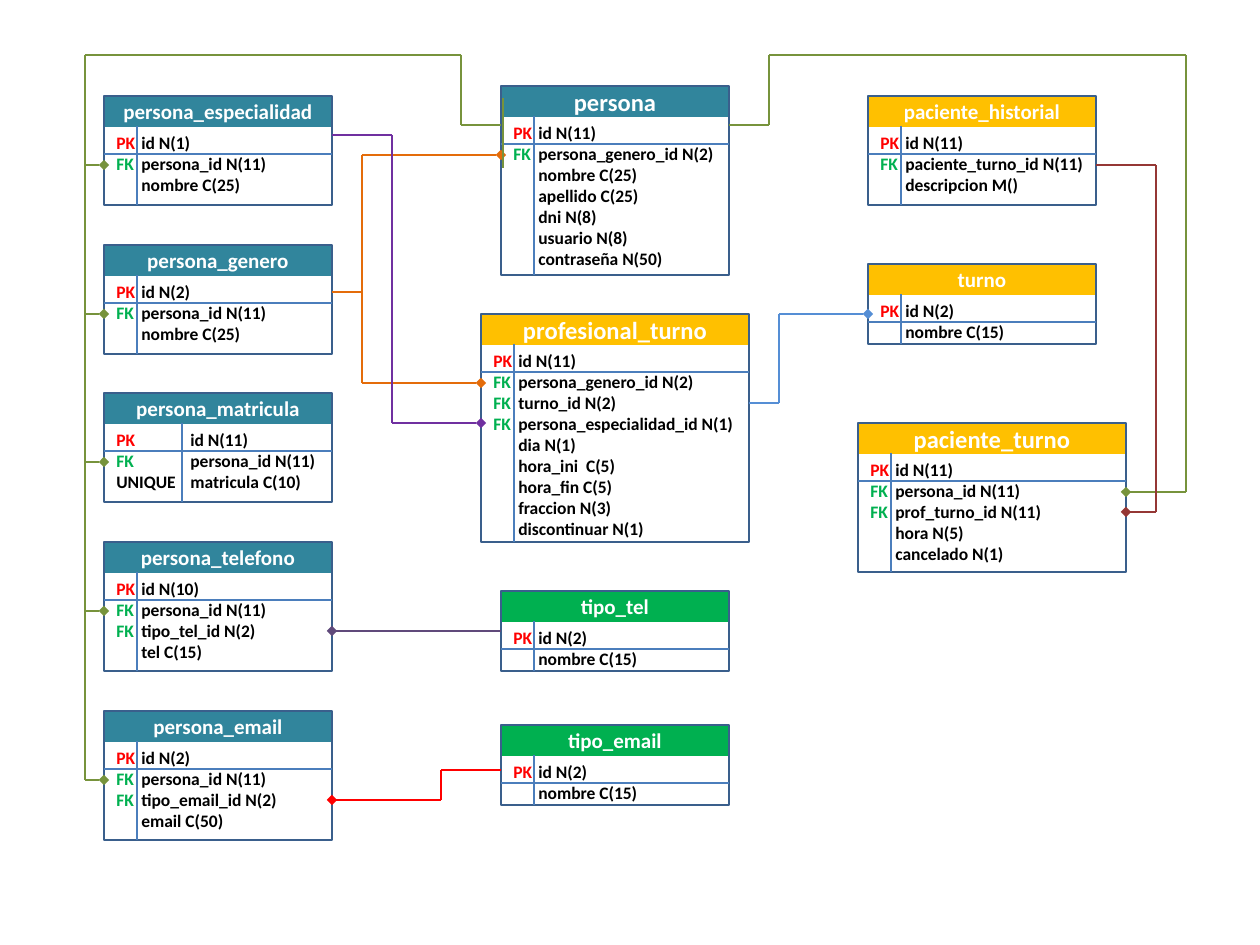
import pptx
import pptx.util
import pptx.dml.color
import pptx.enum.shapes
import pptx.enum.text
import pptx.oxml.ns
from lxml import etree

RGB = pptx.dml.color.RGBColor
TEAL = RGB(0x31, 0x85, 0x9C)
AMBER = RGB(0xFF, 0xC0, 0x00)
GREEN = RGB(0x00, 0xB0, 0x50)
FRAME = RGB(0x3A, 0x5F, 0x8C)
RULE = RGB(0x4B, 0x7E, 0xBC)
WHITE = RGB(0xFF, 0xFF, 0xFF)
BLACK = RGB(0x00, 0x00, 0x00)
RED = RGB(0xFF, 0x00, 0x00)
OLIVE = RGB(0x77, 0x93, 0x3C)
ORANGE = RGB(0xE4, 0x6C, 0x0A)
PURPLE = RGB(0x70, 0x30, 0xA0)
BLUE = RGB(0x55, 0x8E, 0xD5)
MAROON = RGB(0x95, 0x37, 0x35)
VIOLET = RGB(0x60, 0x4A, 0x7B)
KEY_COLORS = {"PK": RED, "FK": GREEN}

FONT = "Calibri"
PX_PER_INCH = 126
TITLE_H, BODY_TOP, RULE_TOP = 31, 30, 58
LINE_H, TEXT_PAD = 21, 13
KEY_W, KEY_TAB = 33, 25  # key column width and tab stop
WIDE_KEY_W, WIDE_KEY_TAB = 78, 74

# name, left, top, width, height, title colour, title size, fields
TABLES = [
    ("persona", 501, 86, 228, 189, TEAL, 14,
     [("PK", "id N(11)"), ("FK", "persona_genero_id N(2)"), ("", "nombre C(25)"),
      ("", "apellido C(25)"), ("", "dni N(8)"), ("", "usuario N(8)"),
      ("", "contraseña N(50)")]),
    ("profesional_turno", 481, 314, 268, 228, AMBER, 14,
     [("PK", "id N(11)"), ("FK", "persona_genero_id N(2)"), ("FK", "turno_id N(2)"),
      ("FK", "persona_especialidad_id N(1)"), ("", "dia N(1)"),
      ("", "hora_ini  C(5)"), ("", "hora_fin C(5)"), ("", "fraccion N(3)"),
      ("", "discontinuar N(1)")]),
    ("persona_especialidad", 104, 96, 228, 109, TEAL, 12,
     [("PK", "id N(1)"), ("FK", "persona_id N(11)"), ("", "nombre C(25)")]),
    ("persona_matricula", 104, 393, 228, 109, TEAL, 12,
     [("PK", "id N(11)"), ("FK", "persona_id N(11)"), ("UNIQUE", "matricula C(10)")]),
    ("persona_genero", 104, 245, 228, 109, TEAL, 12,
     [("PK", "id N(2)"), ("FK", "persona_id N(11)"), ("", "nombre C(25)")]),
    ("persona_telefono", 104, 542, 228, 129, TEAL, 12,
     [("PK", "id N(10)"), ("FK", "persona_id N(11)"), ("FK", "tipo_tel_id N(2)"),
      ("", "tel C(15)")]),
    ("persona_email", 104, 711, 228, 129, TEAL, 12,
     [("PK", "id N(2)"), ("FK", "persona_id N(11)"), ("FK", "tipo_email_id N(2)"),
      ("", "email C(50)")]),
    ("tipo_tel", 501, 591, 228, 80, GREEN, 12,
     [("PK", "id N(2)"), ("", "nombre C(15)")]),
    ("tipo_email", 501, 725, 228, 80, GREEN, 12,
     [("PK", "id N(2)"), ("", "nombre C(15)")]),
    ("turno", 868, 264, 228, 80, AMBER, 12,
     [("PK", "id N(2)"), ("", "nombre C(15)")]),
    ("paciente_historial", 868, 96, 228, 109, AMBER, 12,
     [("PK", "id N(11)"), ("FK", "paciente_turno_id N(11)"), ("", "descripcion M()")]),
    ("paciente_turno", 858, 423, 268, 149, AMBER, 14,
     [("PK", "id N(11)"), ("FK", "persona_id N(11)"), ("FK", "prof_turno_id N(11)"),
      ("", "hora N(5)"), ("", "cancelado N(1)")]),
]

# Routes of the relations; each starts at its diamond
TRUNK_X = 85
RELATIONS = [
    (OLIVE, [(104, 165), (TRUNK_X, 165), (TRUNK_X, 55), (461, 55), (461, 125), (501, 125)]),
    *[(OLIVE, [(104, y), (TRUNK_X, y)]) for y in (314, 462, 611)],
    (OLIVE, [(104, 780), (TRUNK_X, 780), (TRUNK_X, 165)]),
    (ORANGE, [(501, 155), (362, 155), (362, 292), (332, 292)]),
    (ORANGE, [(481, 383), (362, 383), (362, 292)]),
    (PURPLE, [(481, 423), (392, 423), (392, 135), (332, 135)]),
    (BLUE, [(868, 314), (779, 314), (779, 403), (749, 403)]),
    (OLIVE, [(1126, 492), (1186, 492), (1186, 55), (769, 55), (769, 125), (729, 125)]),
    (MAROON, [(1126, 512), (1156, 512), (1156, 165), (1096, 165)]),
    (RED, [(332, 800), (441, 800), (441, 770), (501, 770)]),
]
PERSONA_BAR = [(503, 98), (503, 168)]
PHONE_LINK = [(332, 631), (501, 631)]


def px(length):
    return pptx.util.Emu(round(length * 914400 / PX_PER_INCH))


def add_line(slide, start, end, color, width, diamond=False):
    line = slide.shapes.add_connector(
        pptx.enum.shapes.MSO_CONNECTOR.STRAIGHT, *map(px, (*start, *end)))
    line.line.color.rgb = color
    line.line.width = pptx.util.Pt(width)
    properties = line.element.spPr
    etree.SubElement(properties, pptx.oxml.ns.qn("a:effectLst"))
    if diamond:
        outline = properties.find(pptx.oxml.ns.qn("a:ln"))
        etree.SubElement(outline, pptx.oxml.ns.qn("a:headEnd"), type="diamond")
    return line


def add_route(slide, points, color):
    for index, (start, end) in enumerate(zip(points, points[1:])):
        add_line(slide, start, end, color, 1.5, diamond=index == 0)


def add_rectangle(slide, left, top, width, height):
    box = slide.shapes.add_shape(
        pptx.enum.shapes.MSO_SHAPE.RECTANGLE, *map(px, (left, top, width, height)))
    box.shadow.inherit = False
    return box


def style_span(span, size, color):
    span.font.name = FONT
    span.font.size = pptx.util.Pt(size)
    span.font.bold = True
    span.font.color.rgb = color


def add_fields(slide, left, top, width, fields, tab):
    box = slide.shapes.add_textbox(
        *map(px, (left, top, width, LINE_H * len(fields) + TEXT_PAD)))
    frame = box.text_frame
    frame.word_wrap = True
    frame.margin_right = 0
    for index, (key, field) in enumerate(fields):
        para = frame.paragraphs[0] if index == 0 else frame.add_paragraph()
        tabs = etree.SubElement(para._p.get_or_add_pPr(), pptx.oxml.ns.qn("a:tabLst"))
        etree.SubElement(tabs, pptx.oxml.ns.qn("a:tab"), pos=str(px(tab)), algn="l")
        if key:
            span = para.add_run()
            span.text = key
            style_span(span, 10, KEY_COLORS.get(key, BLACK))
        span = para.add_run()
        span.text = "\t" + field
        style_span(span, 10, BLACK)


def add_entity(slide, name, left, top, width, height, color, size, fields):
    # Title bar
    title = add_rectangle(slide, left, top, width, TITLE_H)
    title.fill.solid()
    title.fill.fore_color.rgb = color
    title.line.fill.background()
    title.text_frame.text = name
    title.text_frame.vertical_anchor = pptx.enum.text.MSO_ANCHOR.MIDDLE
    para = title.text_frame.paragraphs[0]
    para.alignment = pptx.enum.text.PP_ALIGN.CENTER
    style_span(para.runs[0], size, WHITE)

    # Frame
    frame = add_rectangle(slide, left, top, width, height)
    frame.fill.background()
    frame.line.color.rgb = FRAME
    frame.line.width = pptx.util.Pt(0.75)

    # Fields, with the key column and the primary key ruled off
    wide = any(key == "UNIQUE" for key, field in fields)
    key_width, tab = (WIDE_KEY_W, WIDE_KEY_TAB) if wide else (KEY_W, KEY_TAB)
    add_fields(slide, left, top + BODY_TOP, width, fields, tab)
    column = left + key_width
    add_line(slide, (column, top + BODY_TOP), (column, top + height), RULE, 0.75)
    add_line(slide, (left, top + RULE_TOP), (left + width, top + RULE_TOP), RULE, 0.75)
    return frame


def main():
    deck = pptx.Presentation()
    deck.slide_width, deck.slide_height = px(1260), px(945)
    slide = deck.slides.add_slide(deck.slide_layouts[6])

    frames = {table[0]: add_entity(slide, *table) for table in TABLES}
    for color, points in RELATIONS:
        add_route(slide, points, color)
    add_line(slide, *PERSONA_BAR, OLIVE, 1.5)
    phone_link = add_line(slide, *PHONE_LINK, VIOLET, 1.5, diamond=True)
    phone_link.end_connect(frames["tipo_tel"], 1)

    deck.save("out.pptx")


if __name__ == "__main__":
    main()
